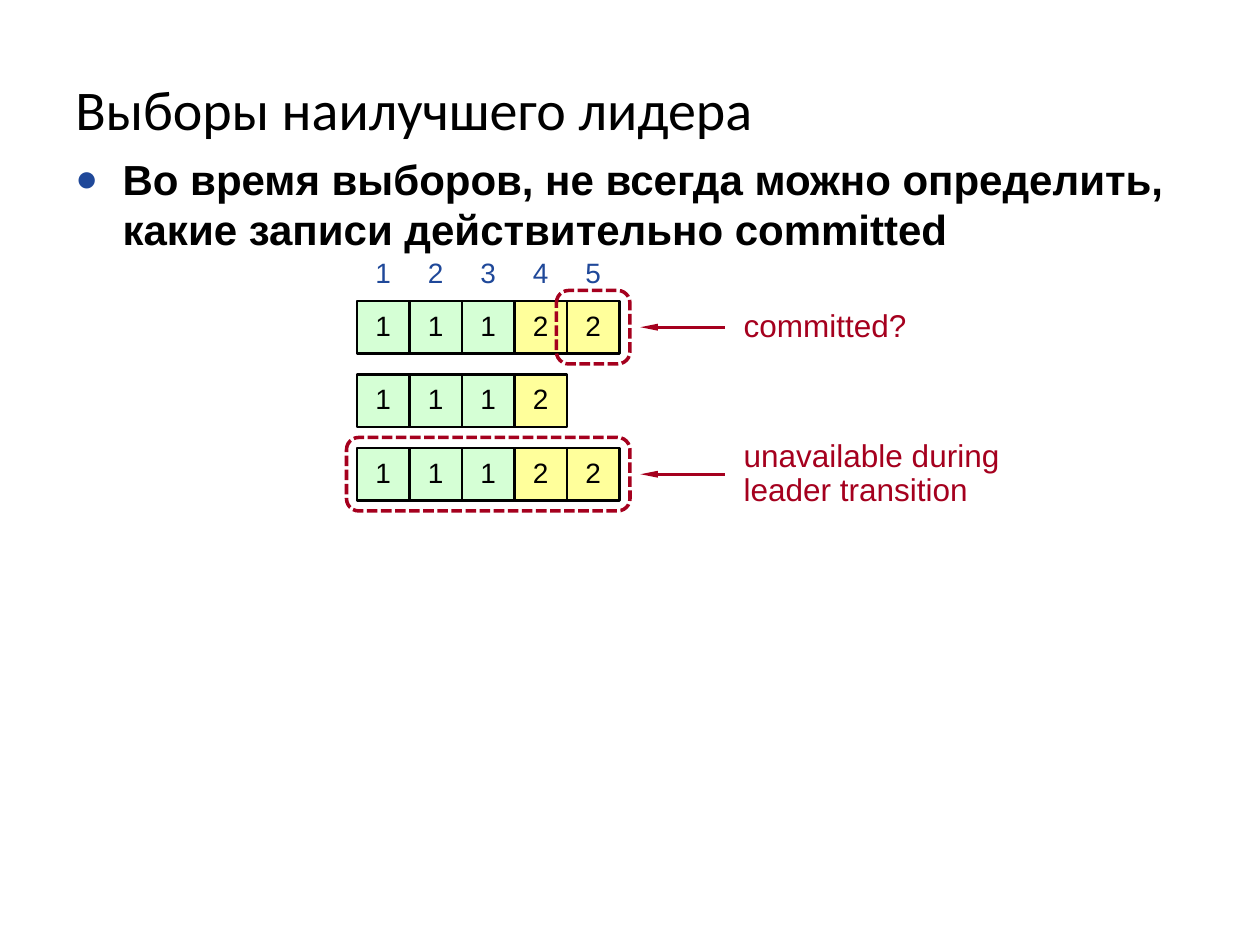
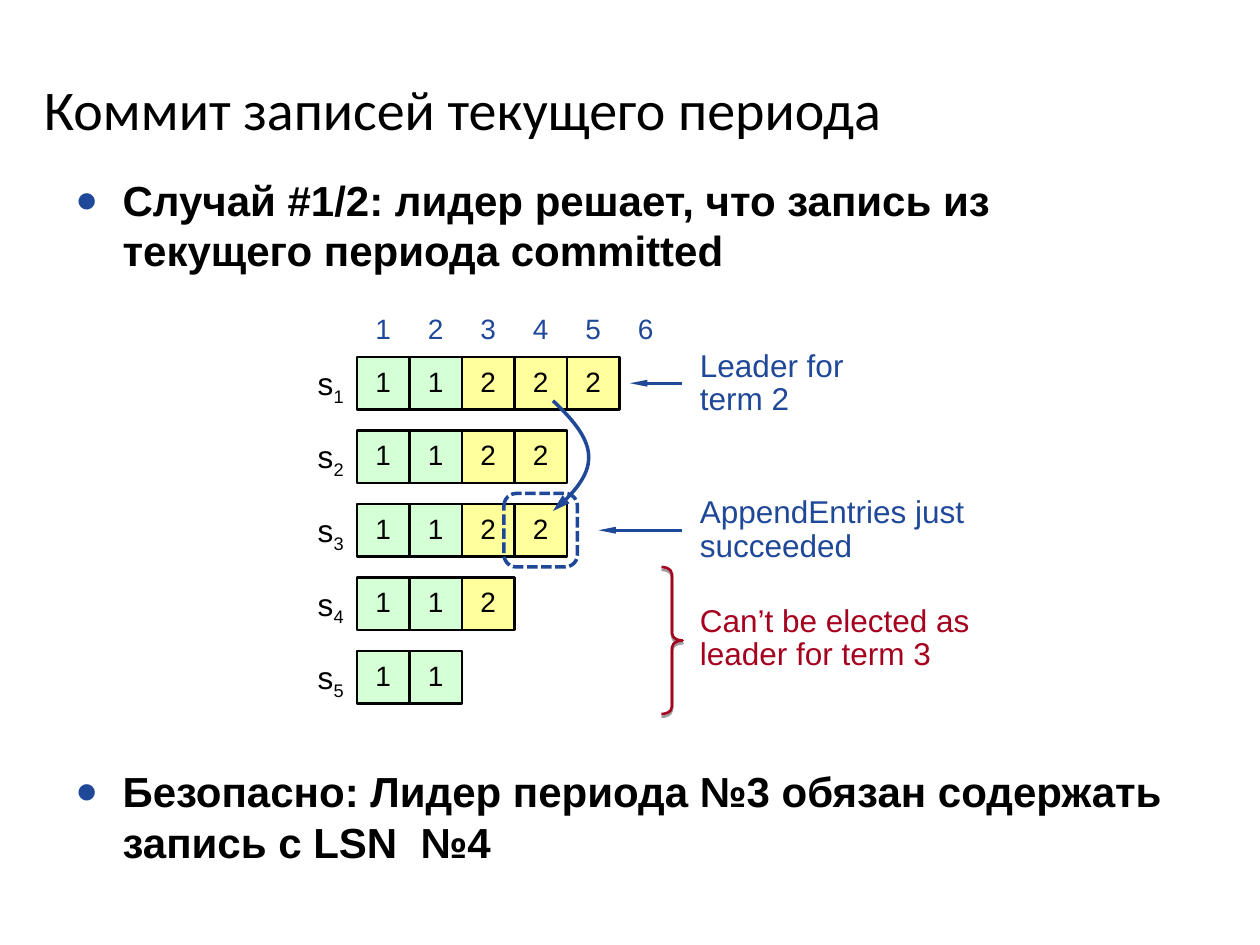
from dataclasses import dataclass

from lxml import etree
from pptx import Presentation
from pptx.dml.color import RGBColor
from pptx.enum.dml import MSO_LINE
from pptx.enum.shapes import MSO_CONNECTOR, MSO_SHAPE
from pptx.enum.text import MSO_ANCHOR as Anchor, PP_ALIGN as Align
from pptx.oxml.ns import qn
from pptx.slide import Slide
from pptx.text.text import TextFrame, _Paragraph as Paragraph
from pptx.util import Pt

BLACK = RGBColor(0x00, 0x00, 0x00)
BLUE = RGBColor(0x1F, 0x48, 0x99)
RED = RGBColor(0xA5, 0x00, 0x1E)
TERM_FILLS = {"1": RGBColor(0xD5, 0xFF, 0xD5), "2": RGBColor(0xFF, 0xFF, 0x9B)}

BODY_FONT, TITLE_FONT = "Arial", "Calibri"
CELL = 30
ROW_PITCH = 42
LOG_LEFT = 204
RING_MARGIN = 6
NOTE_HEIGHT = 38


@dataclass(frozen=True)
class Log:
    """Server logs, one string of term digits a row, under a line of indexes."""
    top: float
    rows: tuple[str, ...]
    index_count: int

    def row_top(self, row: int) -> float:
        return self.top + row * ROW_PITCH

    def row_middle(self, row: int) -> float:
        return self.row_top(row) + CELL / 2


@dataclass(frozen=True)
class Ring:
    """Dashed outline around some neighbouring entries of a row."""
    row: int
    first: int
    count: int
    color: RGBColor


@dataclass(frozen=True)
class Note:
    text: str
    left: float
    middle: float
    color: RGBColor
    width: float = 200


@dataclass(frozen=True)
class Arrow:
    start: float
    end: float
    middle: float
    color: RGBColor


def write(frame: TextFrame, text: str, *, size: float, color: RGBColor = BLACK,
          font: str = BODY_FONT, bold: bool = False, align: Align = Align.LEFT,
          anchor: Anchor = Anchor.TOP, inset: tuple[float, float] = (0, 0),
          spacing: float | None = None, subscript: str = "") -> Paragraph:
    frame.word_wrap = True
    frame.vertical_anchor = anchor
    frame.margin_left = frame.margin_right = Pt(inset[0])
    frame.margin_top = frame.margin_bottom = Pt(inset[1])
    paragraph = frame.paragraphs[0]
    paragraph.text = text
    paragraph.alignment = align
    if spacing:
        paragraph.line_spacing = Pt(spacing)
    if subscript:
        run = paragraph.add_run()
        run.text = subscript
        run.font._element.set("baseline", "-25000")
    for run in paragraph.runs:
        run.font.name = font
        run.font.size = Pt(size)
        run.font.bold = bold
        run.font.color.rgb = color
    return paragraph


def add_text(slide: Slide, text: str, left: float, top: float, width: float,
             height: float, **style) -> Paragraph:
    box = slide.shapes.add_textbox(Pt(left), Pt(top), Pt(width), Pt(height))
    return write(box.text_frame, text, **style)


def add_outline(slide: Slide, kind: MSO_SHAPE, left: float, top: float, width: float,
                height: float, color: RGBColor, weight: float):
    shape = slide.shapes.add_shape(kind, Pt(left), Pt(top), Pt(width), Pt(height))
    shape.shadow.inherit = False
    shape.fill.background()
    shape.line.color.rgb = color
    shape.line.width = Pt(weight)
    return shape


def add_arrowhead(shape, width: str) -> None:
    etree.SubElement(shape.line._get_or_add_ln(), qn("a:tailEnd"),
                     type="triangle", w=width, len="lg")


def add_title(slide: Slide, text: str, left: float, width: float) -> None:
    add_text(slide, text, left, 38, width, 48, size=32, font=TITLE_FONT,
             anchor=Anchor.MIDDLE, inset=(7.2, 3.6))


def add_bullet(slide: Slide, text: str, top: float) -> None:
    paragraph = add_text(slide, text, 36, top, 648, 66, size=24, bold=True,
                         inset=(7.2, 3.6))
    properties = paragraph._p.get_or_add_pPr()
    properties.set("marL", str(Pt(27)))
    properties.set("indent", str(-Pt(27)))
    bullet_color = etree.SubElement(properties, qn("a:buClr"))
    etree.SubElement(bullet_color, qn("a:srgbClr"), val=str(BLUE))
    etree.SubElement(properties, qn("a:buSzPct"), val="90000")
    etree.SubElement(properties, qn("a:buFont"), typeface=BODY_FONT)
    etree.SubElement(properties, qn("a:buChar"), char="●")


def add_log(slide: Slide, log: Log) -> None:
    for index in range(log.index_count):
        add_text(slide, str(index + 1), LOG_LEFT + index * CELL, log.top - 26, CELL, 20,
                 size=16, color=BLUE, align=Align.CENTER)
    for row, terms in enumerate(log.rows):
        for column, term in enumerate(terms):
            entry = add_outline(slide, MSO_SHAPE.RECTANGLE, LOG_LEFT + column * CELL,
                                log.row_top(row), CELL, CELL, BLACK, 1.5)
            entry.fill.solid()
            entry.fill.fore_color.rgb = TERM_FILLS[term]
            write(entry.text_frame, term, size=16, align=Align.CENTER,
                  anchor=Anchor.MIDDLE, spacing=17)


def add_server_names(slide: Slide, log: Log) -> None:
    for row in range(len(log.rows)):
        add_text(slide, "s", LOG_LEFT - CELL, log.row_top(row) + 4, CELL, 24,
                 size=18, align=Align.CENTER, subscript=str(row + 1))


def add_ring(slide: Slide, log: Log, ring: Ring) -> None:
    outline = add_outline(slide, MSO_SHAPE.ROUNDED_RECTANGLE,
                          LOG_LEFT + ring.first * CELL - RING_MARGIN,
                          log.row_top(ring.row) - RING_MARGIN,
                          ring.count * CELL + 2 * RING_MARGIN,
                          CELL + 2 * RING_MARGIN, ring.color, 2)
    outline.line.dash_style = MSO_LINE.SQUARE_DOT


def add_note(slide: Slide, note: Note) -> None:
    add_text(slide, note.text, note.left, note.middle - NOTE_HEIGHT / 2, note.width,
             NOTE_HEIGHT, size=18, color=note.color, anchor=Anchor.MIDDLE, spacing=19)


def add_arrow(slide: Slide, arrow: Arrow) -> None:
    connector = slide.shapes.add_connector(
        MSO_CONNECTOR.STRAIGHT, Pt(arrow.start), Pt(arrow.middle),
        Pt(arrow.end), Pt(arrow.middle))
    connector.line.color.rgb = arrow.color
    connector.line.width = Pt(1.5)
    add_arrowhead(connector, "sm")
    etree.SubElement(connector._element.spPr, qn("a:effectLst"))


def add_replication_curve(slide: Slide, points: list[tuple[float, float]]) -> None:
    """Draw a cubic curve: start, two control points, end with an arrowhead."""
    start, *rest = [(Pt(x), Pt(y)) for x, y in points]
    builder = slide.shapes.build_freeform(*start)
    builder.add_line_segments(rest, close=False)
    curve = builder.convert_to_shape()
    path = curve._element.find(".//" + qn("a:path"))
    segments = path.findall(qn("a:lnTo"))
    bezier = etree.SubElement(path, qn("a:cubicBezTo"))
    for segment in segments:
        bezier.append(segment[0])
        path.remove(segment)
    curve.shadow.inherit = False
    curve.fill.background()
    curve.line.color.rgb = BLUE
    curve.line.width = Pt(2)
    add_arrowhead(curve, "med")


def add_brace(slide: Slide, log: Log) -> None:
    """Bracket the last two servers with a softly shadowed brace."""
    brace = add_outline(slide, MSO_SHAPE.RIGHT_BRACE, 378, log.row_top(3) - RING_MARGIN,
                        12, 2 * ROW_PITCH, RED, 1.5)
    brace.adjustments[0] = 0.34
    effects = brace._element.spPr.find(qn("a:effectLst"))
    shadow = etree.SubElement(effects, qn("a:outerShdw"), blurRad="0",
                              dist=str(Pt(1.6)), dir="5400000", rotWithShape="0")
    shade = etree.SubElement(shadow, qn("a:srgbClr"), val=str(BLACK))
    etree.SubElement(shade, qn("a:alpha"), val="38000")


def add_diagram(slide: Slide, log: Log, rings: list[Ring], notes: list[Note],
                arrows: list[Arrow]) -> None:
    add_log(slide, log)
    for ring in rings:
        add_ring(slide, log, ring)
    for note in notes:
        add_note(slide, note)
    for arrow in arrows:
        add_arrow(slide, arrow)


def build_best_leader(slide: Slide) -> None:
    add_title(slide, "Выборы наилучшего лидера", 36, 648)
    add_bullet(slide, "Во время выборов, не всегда можно определить, "
                      "какие записи действительно committed", 84)
    log = Log(172, ("11122", "1112", "11122"), 5)
    newest, unavailable = log.row_middle(0), log.row_middle(2)
    add_diagram(
        slide, log,
        [Ring(0, 4, 1, RED), Ring(2, 0, 5, RED)],
        [Note("committed?", 425, newest, RED),
         Note("unavailable during leader transition", 425, unavailable, RED)],
        [Arrow(414, 366, middle, RED) for middle in (newest, unavailable)])


def build_current_term(slide: Slide) -> None:
    add_title(slide, "Коммит записей текущего периода", 18, 684)
    add_bullet(slide, "Случай #1/2: лидер решает, что запись из "
                      "текущего периода committed", 96)
    add_bullet(slide, "Безопасно: Лидер периода №3 обязан содержать "
                      "запись с LSN  №4", 434)
    log = Log(204, ("11222", "1122", "1122", "112", "11"), 6)
    leader, follower = log.row_middle(0), log.row_middle(2)
    add_server_names(slide, log)
    add_diagram(
        slide, log,
        [Ring(2, 3, 1, BLUE)],
        [Note("Leader for\nterm 2", 400, leader, BLUE, 102),
         Note("AppendEntries just\nsucceeded", 400, follower, BLUE),
         Note("Can’t be elected as\nleader for term 3", 400, 365, RED)],
        [Arrow(390, 360, leader, BLUE), Arrow(390, 342, follower, BLUE)])
    add_replication_curve(slide, [(316, 229), (340.5, 252), (344, 269), (316, 292)])
    add_brace(slide, log)


def main() -> None:
    deck = Presentation()
    deck.slide_width, deck.slide_height = Pt(720), Pt(540)
    blank = deck.slide_layouts[6]
    for build in (build_best_leader, build_current_term):
        build(deck.slides.add_slide(blank))
    deck.save("out.pptx")


if __name__ == "__main__":
    main()
